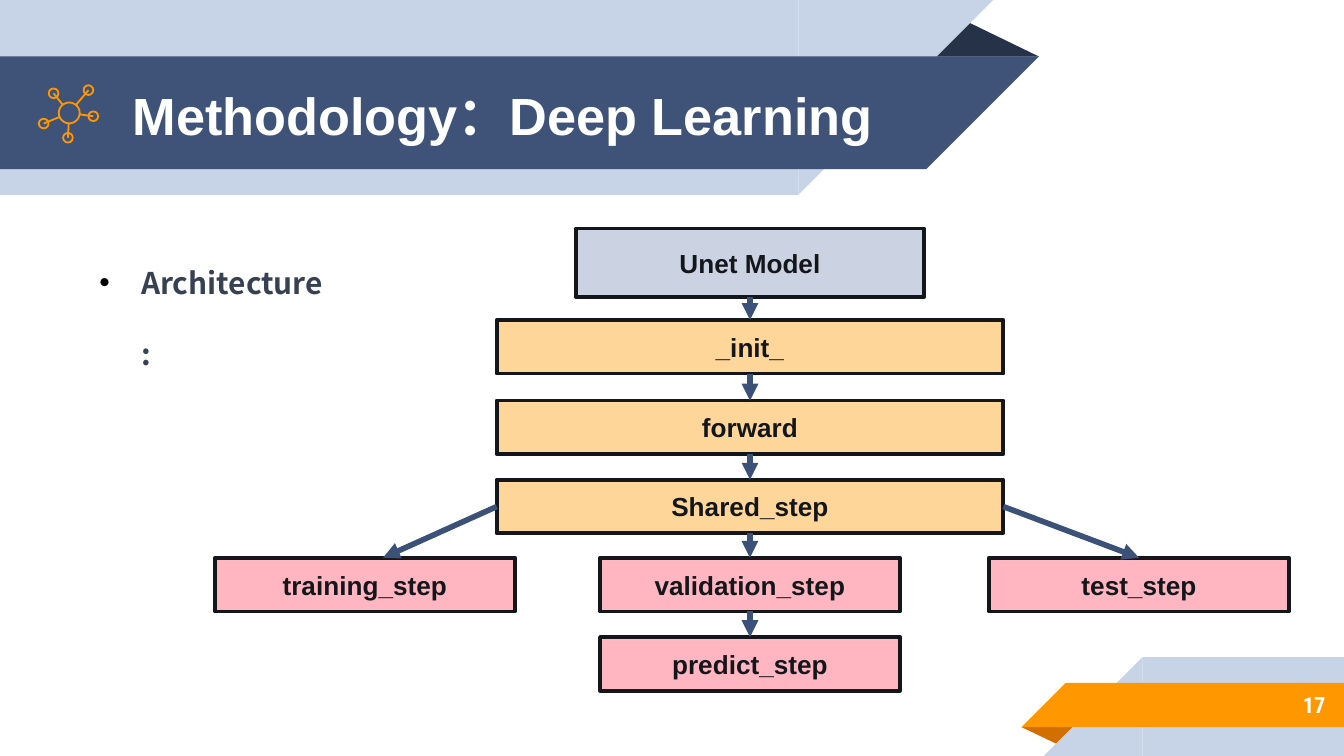
"""Build the deep learning methodology slide with its step diagram."""
from dataclasses import dataclass
from math import hypot

from lxml.etree import SubElement
from pptx import Presentation
from pptx.dml.color import RGBColor
from pptx.enum.shapes import MSO_CONNECTOR, MSO_SHAPE
from pptx.enum.text import MSO_ANCHOR, MSO_AUTO_SIZE, PP_ALIGN
from pptx.oxml.ns import qn
from pptx.util import Pt


@dataclass(frozen=True)
class Theme:
    """Colours, fonts and type sizes of the slide."""
    navy: str = "3F5378"
    navy_fold: str = "263248"
    pale: str = "C7D3E6"
    orange: str = "FF9800"
    orange_fold: str = "D26F00"
    white: str = "FFFFFF"
    bullet: str = "000000"
    body: str = "374151"
    ink: str = "13161B"
    arrow: str = "3C5177"
    model: str = "CBD3E3"
    method: str = "FFD699"
    step: str = "FFB6C1"
    font: str = "Arial"
    body_font: str = "Noto Sans CJK SC"
    number_font: str = "Roboto Condensed"
    title_size: int = 28
    body_size: int = 16
    box_size: int = 14
    number_size: int = 12


T = Theme()
TOP, LEFT, BOTTOM, RIGHT = range(4)


def rgb(value):
    """Turn a hex string into a colour."""
    return RGBColor.from_string(value)


def set_all(obj, values):
    """Set attributes from a dict of format values."""
    for name, value in values.items():
        setattr(obj, name, value)


def place(sp, x, y, w, h):
    """Position a shape in points."""
    set_all(sp, dict(left=Pt(x), top=Pt(y), width=Pt(w), height=Pt(h)))


def write(sp, text, size, color, font, align, frame=None):
    """Write one bold paragraph into a shape and return it."""
    tf = sp.text_frame
    set_all(tf, {"word_wrap": True, "auto_size": MSO_AUTO_SIZE.NONE,
                 "vertical_anchor": MSO_ANCHOR.MIDDLE, **(frame or {})})
    p = tf.paragraphs[0]
    p.alignment = align
    r = p.add_run()
    r.text = text
    set_all(r.font, dict(name=font, size=Pt(size), bold=True))
    r.font.color.rgb = rgb(color)
    return p


def add_shape(s, kind, box, fill=None, line=None, weight=1, rotation=0):
    """Add a preset shape without shadow."""
    sp = s.shapes.add_shape(kind, *map(Pt, box))
    sp.shadow.inherit = False
    sp.rotation = rotation
    if fill:
        sp.fill.solid()
        sp.fill.fore_color.rgb = rgb(fill)
    else:
        sp.fill.background()
    if line:
        sp.line.color.rgb = rgb(line)
        sp.line.width = Pt(weight)
    else:
        sp.line.fill.background()
    return sp


def add_line(s, start, end, color, weight, arrow=False):
    """Add a straight connector, optionally with an arrowhead."""
    c = s.shapes.add_connector(MSO_CONNECTOR.STRAIGHT, *map(Pt, (*start, *end)))
    c.line.color.rgb = rgb(color)
    c.line.width = Pt(weight)
    spPr = c.element.spPr
    if arrow:
        SubElement(spPr.find(qn("a:ln")), qn("a:tailEnd"), type="triangle")
    SubElement(spPr, qn("a:effectLst"))
    return c


def add_fold(s, box, color, rotation=0):
    """Add the folded corner behind a ribbon."""
    sp = add_shape(s, MSO_SHAPE.ISOSCELES_TRIANGLE, box, color, rotation=rotation)
    sp.adjustments[0] = 0.32


def add_ribbon(s, x, y, w, h, color, from_right=False):
    """Add a band with a 45 degree slanted end."""
    end, turn = (x - h, 270) if from_right else (x + w, 90)
    add_shape(s, MSO_SHAPE.RECTANGLE, (x, y, w, h), color)
    add_shape(s, MSO_SHAPE.RIGHT_TRIANGLE, (end, y, h, h), color, rotation=turn)


def add_circle(s, center, radius):
    """Add an outlined circle of the network icon."""
    x, y = center
    add_shape(s, MSO_SHAPE.OVAL, (x - radius, y - radius, 2 * radius, 2 * radius),
              line=T.orange, weight=0.96)


def add_network_icon(s):
    """Draw a hub with nodes on spokes."""
    hx, hy, radius = 37.1, 60.5, 5.6
    add_circle(s, (hx, hy), radius)
    for x, y in ((47.4, 48.3), (28.7, 50), (23.4, 66.2), (36.4, 73.8), (50, 62.3)):
        add_circle(s, (x, y), 2.6)
        k = radius / hypot(x - hx, y - hy)
        add_line(s, (x, y), (hx + k * (x - hx), hy + k * (y - hy)), T.orange, 0.96)


def add_box(s, text, cx, y, w, h, fill):
    """Add a labelled diagram box centred on cx."""
    sp = add_shape(s, MSO_SHAPE.RECTANGLE, (cx - w / 2, y, w, h), fill, T.ink, 2)
    write(sp, text, T.box_size, T.ink, T.font, PP_ALIGN.CENTER)
    return sp


def add_diagram(s):
    """Add the model, its methods and the steps, joined by arrows."""
    cx, step_y, h = 401.8, 298.8, 28.8
    chain = [add_box(s, "Unet Model", cx, 122.4, 186.4, 36.8, T.model)]
    for text, y in (("_init_", 171.4), ("forward", 214.6), ("Shared_step", 257)):
        chain.append(add_box(s, text, cx, y, 271.4, h, T.method))
    shared = chain[-1]
    add_box(s, "training_step", 195.5, step_y, 160.6, h, T.step)
    test = add_box(s, "test_step", 610.2, step_y, 160.6, h, T.step)
    for text, y in (("validation_step", step_y), ("predict_step", 341.3)):
        chain.append(add_box(s, text, cx, y, 160.6, h, T.step))

    links = [(a, BOTTOM, b) for a, b in zip(chain, chain[1:])]
    for a, side, b in links + [(shared, RIGHT, test)]:
        c = add_line(s, (0, 0), (0, 0), T.arrow, 3, arrow=True)
        c.begin_connect(a, side)
        c.end_connect(b, TOP)
    c = add_line(s, (0, 0), (205.2, step_y), T.arrow, 3, arrow=True)
    c.begin_connect(shared, LEFT)


def add_background(s):
    """Add the title ribbon and the page number ribbon."""
    add_fold(s, (495.4, 10.1, 61.2, 20.2), T.navy_fold)
    add_ribbon(s, 0, 0, 427.7, 104.4, T.pale)
    add_ribbon(s, 0, 30.2, 496.1, 60.5, T.navy)
    add_fold(s, (547.2, 389.5, 31, 10.1), T.orange_fold, rotation=180)
    add_ribbon(s, 612, 352.1, 108, 52.9, T.pale, from_right=True)
    add_ribbon(s, 571, 365.8, 149, 23.8, T.orange, from_right=True)


def add_texts(s):
    """Fill the title, the list and the page number."""
    title, body = s.shapes.title, s.placeholders[1]
    for sp in (title, body):
        sp.element.getparent().append(sp.element)
    inset = {f"margin_{side}": Pt(7.2) for side in ("left", "top", "right", "bottom")}
    place(title, 64, 31, 483, 60.5)
    write(title, "Methodology：Deep Learning", T.title_size, T.white, T.font,
          PP_ALIGN.LEFT, inset)

    place(body, 46, 118.8, 138.2, 40.3)
    p = write(body, "Architecture :", T.body_size, T.body, T.body_font,
              PP_ALIGN.LEFT, {"vertical_anchor": MSO_ANCHOR.TOP})
    set_all(p, dict(line_spacing=2.0, space_before=Pt(0)))
    pPr = p.runs[0].font and p.runs[0]._r.getparent().get_or_add_pPr()
    pPr.set("marL", str(Pt(22.5)))
    pPr.set("indent", str(Pt(-22.5)))
    SubElement(SubElement(pPr, qn("a:buClr")), qn("a:srgbClr"), val=T.bullet)
    SubElement(pPr, qn("a:buChar"), char="•")

    number = s.shapes.add_textbox(*map(Pt, (599.8, 365, 117.4, 25.2)))
    write(number, "17", T.number_size, T.white, T.number_font, PP_ALIGN.RIGHT, inset)


def main():
    """Build and save the slide."""
    prs = Presentation()
    set_all(prs, dict(slide_width=Pt(720), slide_height=Pt(405)))
    s = prs.slides.add_slide(prs.slide_layouts[1])
    add_background(s)
    add_texts(s)
    add_network_icon(s)
    add_diagram(s)
    prs.save("out.pptx")


if __name__ == "__main__":
    main()
